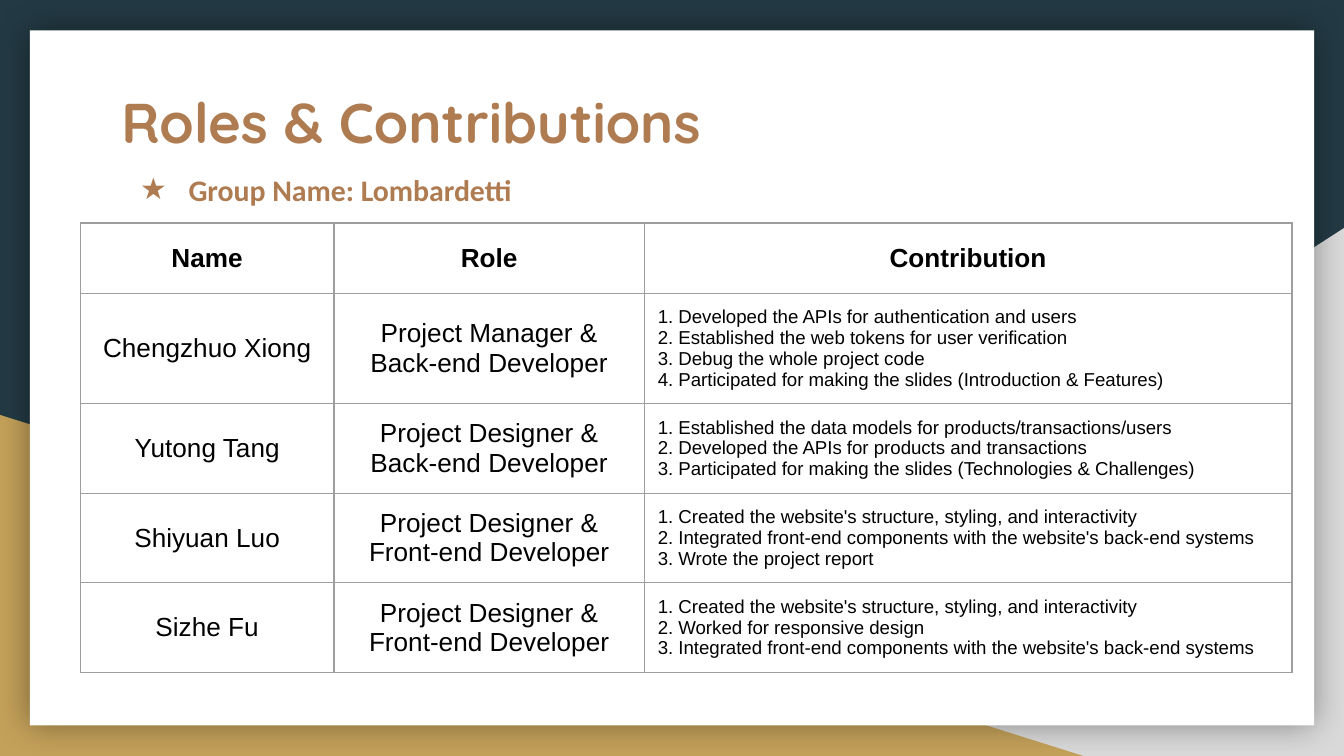
from dataclasses import dataclass

from lxml import etree
from pptx import Presentation
from pptx.dml.color import RGBColor
from pptx.enum.shapes import MSO_SHAPE
from pptx.enum.text import MSO_ANCHOR, MSO_AUTO_SIZE, PP_ALIGN
from pptx.oxml.ns import qn
from pptx.util import Pt


@dataclass(frozen=True)
class Theme:
    navy: str = "233A44"
    gold: str = "C4A15A"
    silver: str = "D9D9D9"
    paper: str = "FFFFFF"
    ink: str = "000000"
    accent: str = "AF7B51"
    border: str = "9E9E9E"
    title_font: str = "Quicksand"
    group_font: str = "Calibri"
    table_font: str = "Arial"
    title_size: float = 30
    group_size: float = 16
    cell_size: float = 14
    list_size: float = 10
    inset: float = 7.2


THEME = Theme()
COLUMN_WIDTHS = (136, 166.2, 347)
ROW_HEIGHTS = (37.7, 59, 48, 48, 48)
HEADINGS = ("Name", "Role", "Contribution")
MEMBERS = (
    ("Chengzhuo Xiong", "Project Manager & Back-end Developer", (
        "Developed the APIs for authentication and users",
        "Established the web tokens for user verification",
        "Debug the whole project code",
        "Participated for making the slides (Introduction & Features)")),
    ("Yutong Tang", "Project Designer &\nBack-end Developer", (
        "Established the data models for products/transactions/users",
        "Developed the APIs for products and transactions",
        "Participated for making the slides (Technologies & Challenges)")),
    ("Shiyuan Luo", "Project Designer & Front-end Developer", (
        "Created the website's structure, styling, and interactivity",
        "Integrated front-end components with the website's back-end systems",
        "Wrote the project report")),
    ("Sizhe Fu", "Project Designer & Front-end Developer", (
        "Created the website's structure, styling, and interactivity",
        "Worked for responsive design",
        "Integrated front-end components with the website's back-end systems")),
)


def rgb(color):
    return RGBColor.from_string(color)


def add_node(parent, tag, **attributes):
    return etree.SubElement(parent, qn(tag), attributes)


def add_bullet(paragraph, symbol, color, left, hanging):
    properties = paragraph._p.get_or_add_pPr()
    properties.set("marL", str(Pt(left)))
    properties.set("indent", str(-Pt(hanging)))
    add_node(add_node(properties, "a:buClr"), "a:srgbClr", val=color)
    add_node(properties, "a:buChar", char=symbol)


def write(frame, text, *, font, size, color, bold=False, align=PP_ALIGN.LEFT,
          spacing=None, bullet=None):
    """Fill a text frame, one paragraph for each line of text."""
    frame.text = text
    for paragraph in frame.paragraphs:
        if bullet:
            add_bullet(paragraph, bullet, color, left=36, hanging=26)
        paragraph.alignment = align
        paragraph.space_before = Pt(0)
        if spacing:
            paragraph.line_spacing = spacing
        for run in paragraph.runs:
            run.font.name = font
            run.font.size = Pt(size)
            run.font.bold = bold
            run.font.color.rgb = rgb(color)


def place_placeholder(placeholder, left, top, width, height):
    placeholder.left, placeholder.top = Pt(left), Pt(top)
    placeholder.width, placeholder.height = Pt(width), Pt(height)
    frame = placeholder.text_frame
    frame.word_wrap = True
    frame.auto_size = MSO_AUTO_SIZE.NONE
    frame.vertical_anchor = MSO_ANCHOR.TOP
    frame.margin_left = frame.margin_right = Pt(THEME.inset)
    frame.margin_top = frame.margin_bottom = Pt(THEME.inset)
    return frame


def add_backdrop(slide, preset, left, top, width, height, color):
    """Add a filled shape behind the title."""
    shape = slide.shapes.add_shape(preset, Pt(left), Pt(top), Pt(width), Pt(height))
    shape.shadow.inherit = False
    shape.fill.solid()
    shape.fill.fore_color.rgb = rgb(color)
    shape.line.fill.background()
    slide.shapes.title.element.addprevious(shape.element)
    return shape


def add_glow_shadow(shape, color, blur, opacity):
    effects = shape.element.spPr.find(qn("a:effectLst"))
    shadow = add_node(effects, "a:outerShdw", blurRad=str(Pt(blur)), dist="0",
                      dir="0", algn="ctr", rotWithShape="0")
    shade = add_node(shadow, "a:srgbClr", val=color)
    add_node(shade, "a:alpha", val=str(opacity * 1000))


def draw_borders(cell, color, width):
    properties = cell._tc.get_or_add_tcPr()
    for side in ("L", "R", "T", "B"):
        line = add_node(properties, f"a:ln{side}", w=str(Pt(width)))
        add_node(add_node(line, "a:solidFill"), "a:srgbClr", val=color)


def fill_cell(cell, text, **text_format):
    draw_borders(cell, THEME.border, 0.75)
    cell.fill.background()
    cell.vertical_anchor = MSO_ANCHOR.MIDDLE
    cell.margin_left = cell.margin_right = Pt(THEME.inset)
    cell.margin_top = cell.margin_bottom = Pt(THEME.inset)
    write(cell.text_frame, text, font=THEME.table_font, color=THEME.ink, **text_format)


def add_roles_table(slide, left, top):
    frame = slide.shapes.add_table(
        len(ROW_HEIGHTS), len(COLUMN_WIDTHS), Pt(left), Pt(top),
        Pt(sum(COLUMN_WIDTHS)), Pt(sum(ROW_HEIGHTS)))
    table = frame.table
    table.first_row = table.horz_banding = False
    for column, width in zip(table.columns, COLUMN_WIDTHS):
        column.width = Pt(width)
    for row, height in zip(table.rows, ROW_HEIGHTS):
        row.height = Pt(height)

    centred = {"size": THEME.cell_size, "align": PP_ALIGN.CENTER}
    for index, heading in enumerate(HEADINGS):
        fill_cell(table.cell(0, index), heading, bold=True, **centred)
    for index, (name, role, contributions) in enumerate(MEMBERS, 1):
        numbered = "\n".join(f"{n}. {item}" for n, item in enumerate(contributions, 1))
        fill_cell(table.cell(index, 0), name, **centred)
        fill_cell(table.cell(index, 1), role, **centred)
        fill_cell(table.cell(index, 2), numbered, size=THEME.list_size)


def main():
    deck = Presentation()
    deck.slide_width, deck.slide_height = Pt(720), Pt(405)
    slide = deck.slides.add_slide(deck.slide_layouts[1])
    slide.background.fill.solid()
    slide.background.fill.fore_color.rgb = rgb(THEME.navy)

    corner = add_backdrop(slide, MSO_SHAPE.RIGHT_TRIANGLE, 282, 122.2, 438, 282.8,
                          THEME.silver)
    corner.element.spPr.xfrm.set("flipH", "1")
    add_backdrop(slide, MSO_SHAPE.RIGHT_TRIANGLE, 0, 222.3, 580.4, 182.7, THEME.gold)
    sheet = add_backdrop(slide, MSO_SHAPE.RECTANGLE, 16, 16.3, 688, 372.4, THEME.paper)
    add_glow_shadow(sheet, THEME.ink, blur=18, opacity=40)

    title = place_placeholder(slide.shapes.title, 57.8, 39.6, 506, 55.4)
    write(title, "Roles & Contributions", font=THEME.title_font,
          size=THEME.title_size, color=THEME.accent, bold=True)
    group = place_placeholder(slide.placeholders[1], 57.8, 88.6, 461.5, 31)
    write(group, "Group Name: Lombardetti", font=THEME.group_font,
          size=THEME.group_size, color=THEME.accent, bold=True,
          spacing=0.8, bullet="★")
    add_roles_table(slide, 43, 119.5)
    deck.save("out.pptx")


if __name__ == "__main__":
    main()
